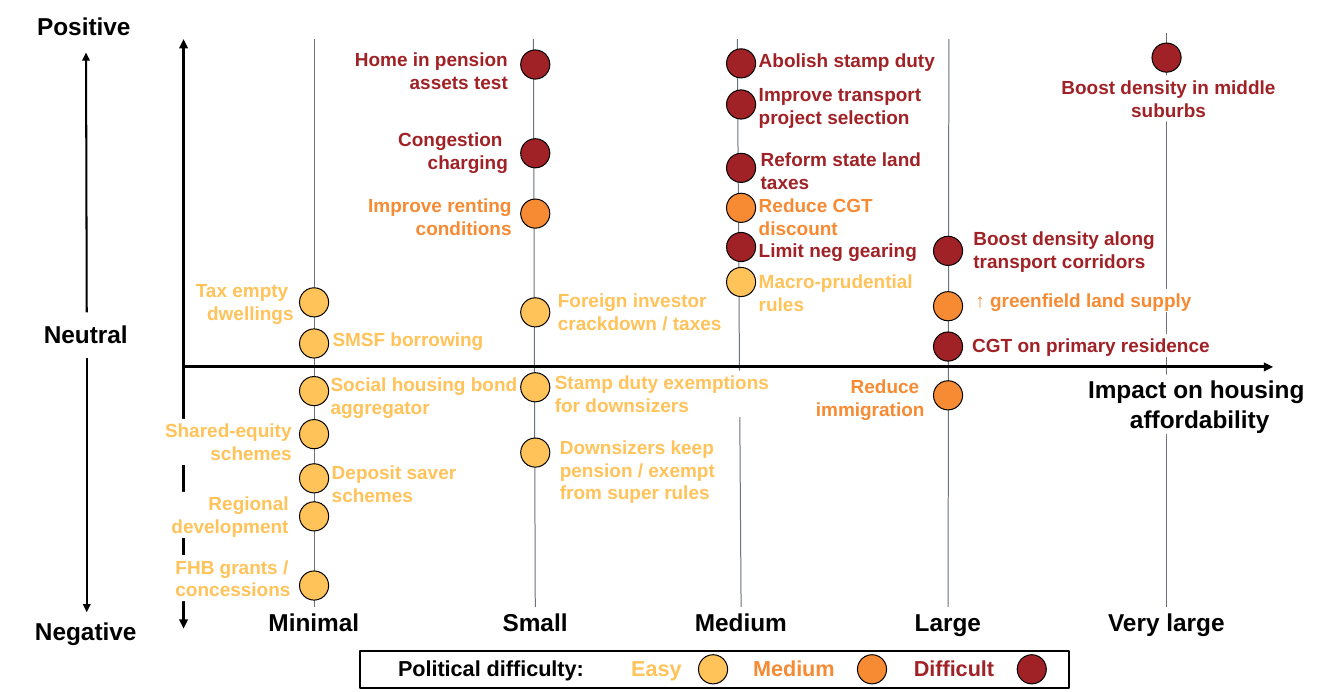
"""Chart of housing policies by affordability impact, wider effect and political difficulty."""
from collections import namedtuple

from lxml.etree import SubElement
from pptx import Presentation
from pptx.dml.color import RGBColor
from pptx.enum.shapes import MSO_CONNECTOR, MSO_SHAPE
from pptx.enum.text import PP_ALIGN
from pptx.oxml.ns import qn
from pptx.util import Cm, Pt

BLACK, WHITE, GREY = "000000", "FFFFFF", "6A737B"
EASY, MEDIUM, DIFFICULT = "FFC35A", "F68B33", "A02226"
LEFT, CENTER, RIGHT = PP_ALIGN.LEFT, PP_ALIGN.CENTER, PP_ALIGN.RIGHT
DOT = 0.76

Column = namedtuple("Column", "name x bottom top_x top policies")
Policy = namedtuple("Policy", "text color dot_top left top width lines align fill",
                    defaults=(2, LEFT, WHITE))

COLUMNS = [
    Column("Minimal", 8.18, 16.03, 8.18, 1.02, [
        Policy("Tax empty \ndwellings", EASY, 7.49, 4.93, 7.26, 2.72, align=RIGHT),
        Policy("SMSF borrowing", EASY, 8.56, 8.66, 8.53, 6.05, 1, fill=None),
        Policy("Social housing bond aggregator", EASY, 9.8, 8.61, 9.7, 5.46, fill=None),
        Policy("Shared-equity\nschemes", EASY, 10.92, 4.04, 10.9, 3.56, align=RIGHT),
        Policy("Deposit saver schemes", EASY, 12.07, 8.64, 11.99, 4.6),
        Policy("Regional\ndevelopment", EASY, 13.06, 3.05, 12.8, 4.47, align=RIGHT),
        Policy("FHB grants /\nconcessions", EASY, 14.86, 4.57, 14.45, 3.51),
    ]),
    Column("Small", 13.94, 15.93, 13.89, 1.02, [
        Policy("Home in pension assets test", DIFFICULT, 1.3, 8.53, 1.24, 4.7, align=RIGHT),
        Policy("Congestion \ncharging", DIFFICULT, 3.61, 9.04, 3.33, 4.19, align=RIGHT),
        Policy("Improve renting\nconditions", MEDIUM, 5.18, 8.76, 5.05, 4.57, align=RIGHT),
        Policy("Foreign investor\ncrackdown / taxes", EASY, 7.75, 14.53, 7.52, 4.52),
        Policy("Stamp duty exemptions for downsizers", EASY, 9.7, 14.45, 9.65, 5.84),
        Policy("Downsizers keep pension / exempt from super rules", EASY,
               11.4, 14.58, 11.33, 4.5, 3),
    ]),
    Column("Medium", 19.3, 15.93, 19.2, 1.02, [
        Policy("Abolish stamp duty", DIFFICULT, 1.27, 19.76, 1.27, 4.9, 1),
        Policy("Improve transport project selection", DIFFICULT, 2.34, 19.76, 2.16, 4.5),
        Policy("Reform state land taxes", DIFFICULT, 3.99, 19.81, 3.84, 4.5),
        Policy("Reduce CGT discount", MEDIUM, 5.03, 19.76, 5.05, 4.55),
        Policy("Limit neg gearing", DIFFICULT, 6.05, 19.76, 6.2, 4.14, 1, fill=None),
        Policy("Macro-prudential\nrules", EASY, 6.96, 19.76, 7.01, 4.19, fill=None),
    ]),
    Column("Large", 24.69, 15.93, 24.71, 1.02, [
        Policy("Boost density along transport corridors", DIFFICULT, 6.15, 25.35, 5.89, 5),
        Policy("↑ greenfield land supply", MEDIUM, 7.59, 25.4, 7.52, 9.22, 1),
        Policy("CGT on primary residence", DIFFICULT, 8.64, 25.32, 8.69, 8.81, 1),
        Policy("Reduce \nimmigration", MEDIUM, 9.91, 19.91, 9.75, 4.17, align=RIGHT, fill=None),
    ]),
    Column("Very large", 30.38, 15.8, 30.38, 0.86, [
        Policy("Boost density in middle suburbs", DIFFICULT, 1.12, 27.31, 1.96, 6.25, align=CENTER),
    ]),
]


def rgb(color):
    return RGBColor.from_string(color)


def write_text(text_frame, text, *, size, color, align, font):
    text_frame.word_wrap = True
    text_frame.margin_left = text_frame.margin_right = 0
    text_frame.margin_top = text_frame.margin_bottom = 0
    for index, line in enumerate(text.split("\n")):
        paragraph = text_frame.add_paragraph() if index else text_frame.paragraphs[0]
        paragraph.alignment = align
        run = paragraph.add_run()
        run.text = line
        run.font.name = font
        run.font.size = Pt(size)
        run.font.bold = True
        run.font.color.rgb = rgb(color)


class Board:
    font = "Arial"

    def __init__(self, slide):
        self.slide = slide

    def line(self, start, end, *, color=BLACK, width=0.75, arrows=()):
        connector = self.slide.shapes.add_connector(
            MSO_CONNECTOR.STRAIGHT, *map(Cm, start + end))
        connector.line.color.rgb = rgb(color)
        connector.line.width = Pt(width)
        for arrow in arrows:
            SubElement(connector.line._get_or_add_ln(), qn("a:" + arrow), type="triangle")
        SubElement(connector._element.spPr, qn("a:effectLst"))

    def label(self, text, left, top, width, height, *, size=18, color=BLACK,
              align=CENTER, fill=None):
        box = self.slide.shapes.add_textbox(*map(Cm, (left, top, width, height)))
        if fill:
            box.fill.solid()
            box.fill.fore_color.rgb = rgb(fill)
        write_text(box.text_frame, text, size=size, color=color, align=align, font=self.font)

    def shape(self, kind, left, top, width, height, *, fill=None, outline=0.75):
        shape = self.slide.shapes.add_shape(kind, *map(Cm, (left, top, width, height)))
        shape.shadow.inherit = False
        if fill:
            shape.fill.solid()
            shape.fill.fore_color.rgb = rgb(fill)
        else:
            shape.fill.background()
        shape.line.color.rgb = rgb(BLACK)
        shape.line.width = Pt(outline)

    def dot(self, center_x, top, color):
        self.shape(MSO_SHAPE.OVAL, center_x - DOT / 2, top, DOT, DOT, fill=color)


presentation = Presentation()
presentation.slide_width, presentation.slide_height = Cm(35), Cm(18.01)
board = Board(presentation.slides.add_slide(presentation.slide_layouts[6]))

for column in COLUMNS:
    board.line((column.x, column.bottom), (column.top_x, column.top), color=GREY)
board.line((4.78, 16.36), (4.78, 1.02), width=2.25, arrows=("headEnd", "tailEnd"))
board.line((4.78, 9.55), (33.15, 9.55), width=2.25, arrows=("tailEnd",))

for column in COLUMNS:
    board.label(column.name, column.x - 3.23, 15.8, 6.45, DOT, fill=WHITE)
    for policy in column.policies:
        board.label(policy.text, policy.left, policy.top, policy.width, 0.6 * policy.lines,
                    size=14, color=policy.color, align=policy.align, fill=policy.fill)
for column in COLUMNS:
    for policy in column.policies:
        board.dot(column.x, policy.dot_top, policy.color)
board.label("Impact on housing \naffordability", 27.51, 9.75, 7.47, 1.55, fill=WHITE)

for name, left, top in (("Positive", 0.23, 0.3), ("Neutral", 0.28, 8.31), ("Negative", 0.28, 16.03)):
    board.label(name, left, top, 3.91, DOT)
board.line((2.26, 8.13), (2.24, 1.37), width=1.5, arrows=("tailEnd",))
board.line((2.26, 9.32), (2.26, 15.93), width=1.5, arrows=("tailEnd",))

board.shape(MSO_SHAPE.RECTANGLE, 9.37, 16.94, 18.47, 0.97, outline=1.5)
board.label("Political difficulty:", 9.12, 17.04, 7.34, 0.69, size=16)
for name, color, left, width, dot_x in (
        ("Easy", EASY, 16.03, 2.13, 18.57),
        ("Medium", MEDIUM, 18.82, 3.71, 22.71),
        ("Difficult", DIFFICULT, 23.22, 3.25, 26.87)):
    board.label(name, left, 17.04, width, 0.69, size=16, color=color)
    board.dot(dot_x, 17.04, color)

presentation.save("out.pptx")
